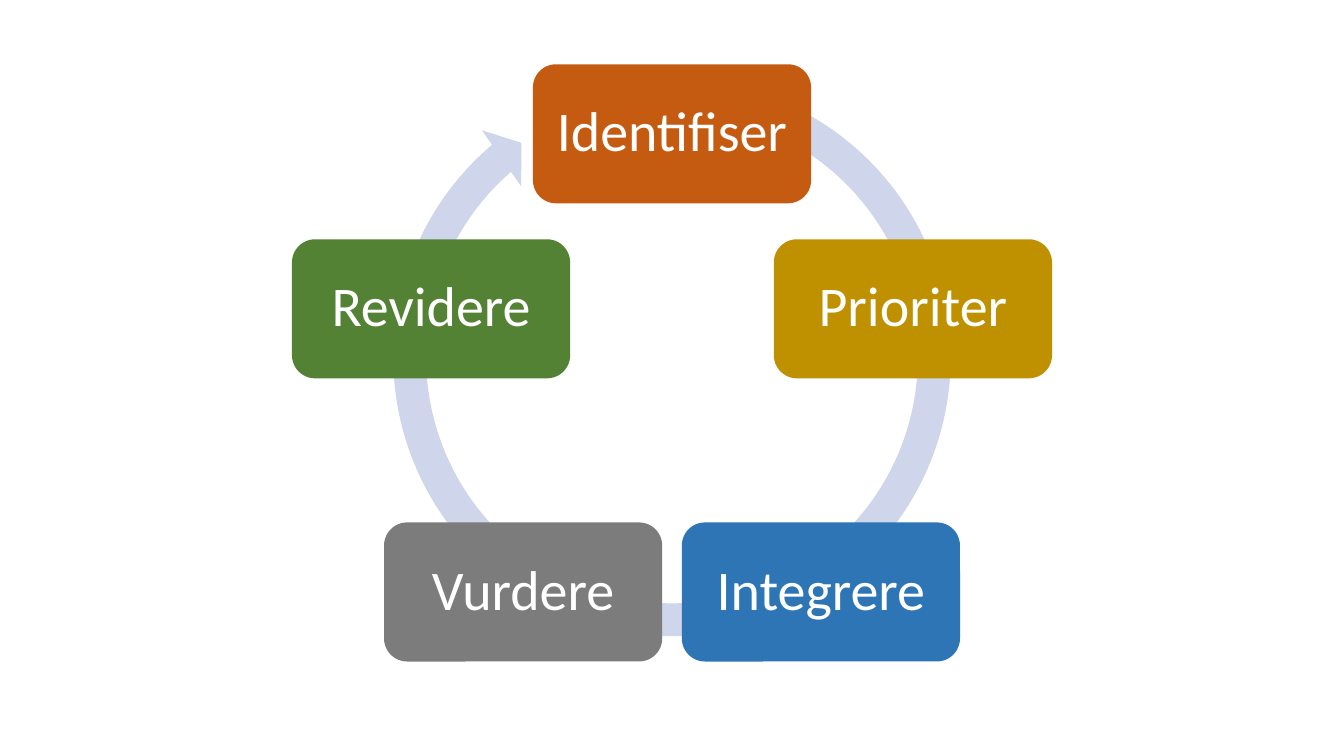
from dataclasses import dataclass
from math import cos, radians, sin

from pptx import Presentation
from pptx.dml.color import RGBColor
from pptx.enum.shapes import MSO_SHAPE
from pptx.enum.text import MSO_ANCHOR, PP_ALIGN
from pptx.shapes.autoshape import Shape
from pptx.slide import Slide
from pptx.util import Inches, Pt

# Lengths are percentages of the slide's width or height
SLIDE_W, SLIDE_H = Inches(13.33), Inches(7.5)
CARD_W, CARD_H = 20.7, 18.4
ORBIT_RADIUS, ORBIT_Y = 33.5, 51.2
ARROW_SIZE, ARROW_Y = 78.4, 47.3
ARROW_ADJUST = (5.54, 330.68, 13767.6, 17391, 5.76)

INSET = Inches(0.17)
FRAME = {
    "margin_left": INSET,
    "margin_right": INSET,
    "margin_top": INSET,
    "margin_bottom": INSET,
    "vertical_anchor": MSO_ANCHOR.MIDDLE,
    "word_wrap": True,
}
PARAGRAPH = {"alignment": PP_ALIGN.CENTER, "line_spacing": 0.9}
FONT = {"name": "Calibri", "size": Pt(40)}


@dataclass(frozen=True)
class Step:
    """One step of the cycle."""
    label: str
    colour: str


STEPS = (
    Step("Identifiser", "C55A11"),
    Step("Prioriter", "BF9000"),
    Step("Integrere", "2E75B6"),
    Step("Vurdere", "7C7C7C"),
    Step("Revidere", "548235"),
)


def rgb(value: str) -> RGBColor:
    """Turn a hex string into a colour."""
    return RGBColor.from_string(value)


def across(share: float) -> int:
    """Length for a percentage of the slide's width."""
    return round(SLIDE_W * share / 100)


def down(share: float) -> int:
    """Length for a percentage of the slide's height."""
    return round(SLIDE_H * share / 100)


def apply(target: object, values: dict) -> None:
    """Set each format value on the target."""
    for name, value in values.items():
        setattr(target, name, value)


def add_centred(s: Slide, kind: MSO_SHAPE, x: int, y: int,
                w: int, h: int, colour: str) -> Shape:
    """Add a plain filled shape around a centre point."""
    sp = s.shapes.add_shape(kind, x - w // 2, y - h // 2, w, h)
    sp.shadow.inherit = False
    sp.fill.solid()
    sp.fill.fore_color.rgb = rgb(colour)
    sp.line.fill.background()
    return sp


def add_cycle_arrow(s: Slide) -> None:
    """Draw the circular arrow behind the cards."""
    size = down(ARROW_SIZE)
    sp = add_centred(s, MSO_SHAPE.CIRCULAR_ARROW, across(50), down(ARROW_Y),
                     size, size, "CFD5EA")
    for i, percent in enumerate(ARROW_ADJUST):
        sp.adjustments[i] = percent / 100


def add_card(s: Slide, step: Step, angle: float) -> None:
    """Draw a step's card at a clockwise angle from the top."""
    radius = down(ORBIT_RADIUS)
    x = across(50) + round(radius * sin(radians(angle)))
    y = down(ORBIT_Y) - round(radius * cos(radians(angle)))
    sp = add_centred(s, MSO_SHAPE.ROUNDED_RECTANGLE, x, y,
                     across(CARD_W), down(CARD_H), step.colour)
    tf = sp.text_frame
    apply(tf, FRAME)
    p = tf.paragraphs[0]
    apply(p, PARAGRAPH)
    r = p.add_run()
    r.text = step.label
    apply(r.font, FONT)
    r.font.color.rgb = rgb("FFFFFF")


def main() -> None:
    """Build and save the slide."""
    prs = Presentation()
    apply(prs, {"slide_width": SLIDE_W, "slide_height": SLIDE_H})
    s = prs.slides.add_slide(prs.slide_layouts[6])
    add_cycle_arrow(s)
    for i, step in enumerate(STEPS):
        add_card(s, step, i * 360 / len(STEPS))
    prs.save("out.pptx")


main()
